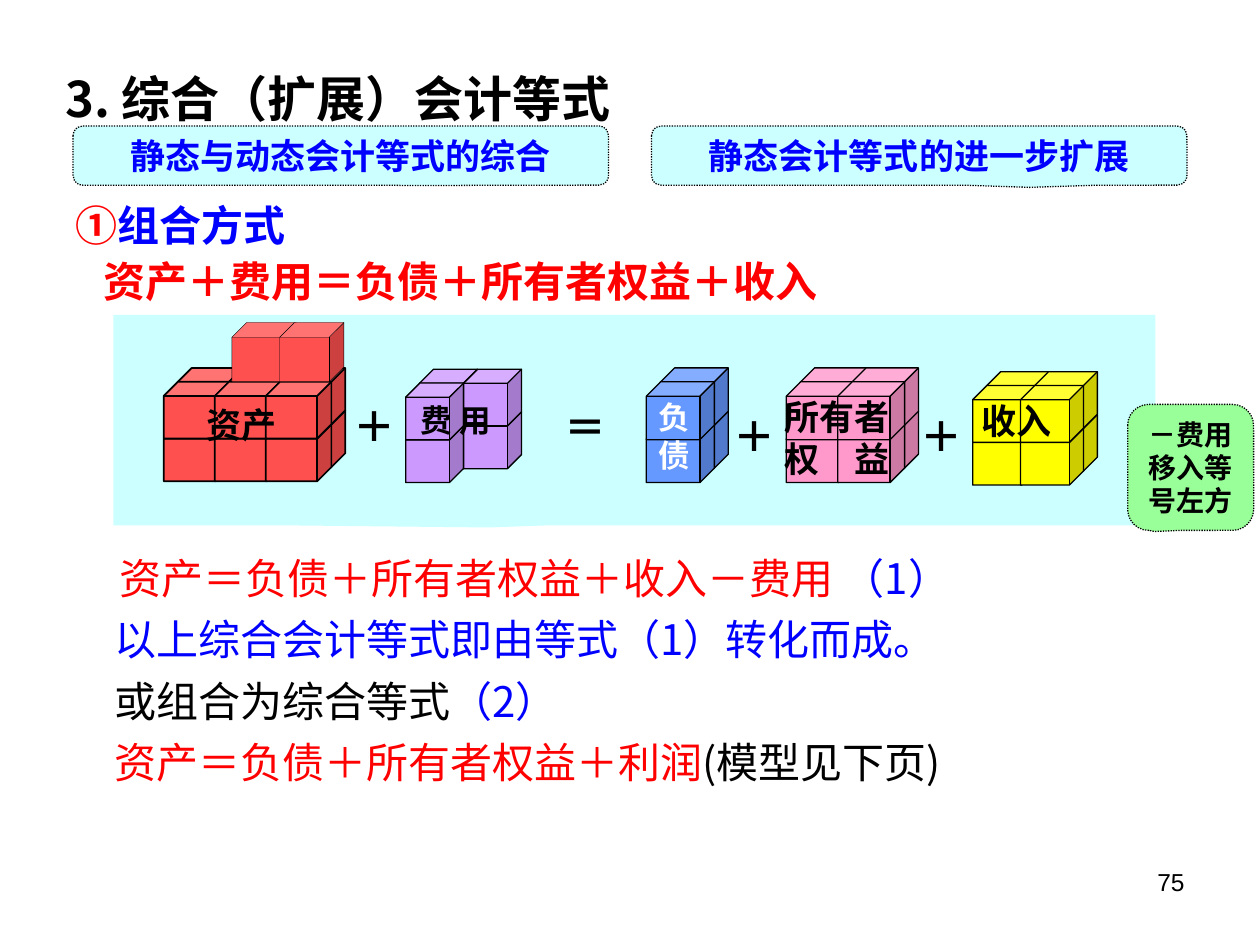
import pptx
import pptx.util
import pptx.dml.color
import pptx.enum.dml
import pptx.enum.shapes
import pptx.enum.text
import pptx.oxml.ns
import lxml.etree

Inches = pptx.util.Inches
Pt = pptx.util.Pt
SHAPE = pptx.enum.shapes.MSO_SHAPE
ALIGN = pptx.enum.text.PP_ALIGN
ANCHOR = pptx.enum.text.MSO_ANCHOR
CJK = "Noto Sans CJK SC"
BLACK, RED, BLUE, AQUA = "000000", "FF0000", "0000FF", "CCFFFF"
RED_CUBE = "FF5050"

deck = pptx.Presentation()
deck.slide_width, deck.slide_height = Inches(10), Inches(7.5)
page = deck.slides.add_slide(deck.slide_layouts[6])
color = pptx.dml.color.RGBColor.from_string


def add_text(frame, text, size=20, ink=BLACK, bold=True, font="Times New Roman",
             align=ALIGN.CENTER, before=0, line=None, indent=0):
    """Add a paragraph; text is a string or a list of (string, colour) spans."""
    frame.word_wrap = True
    first = frame.paragraphs[0]
    para = frame.add_paragraph() if first.runs else first
    para.alignment = align
    para.space_before = Pt(before)
    para.line_spacing = Pt(line or round(size * 1.2, 1))
    if indent:
        para._p.get_or_add_pPr().set("marL", str(Inches(indent)))
    for words, hue in [(text, ink)] if isinstance(text, str) else text:
        span = para.add_run()
        span.text = words
        span.font.size, span.font.bold, span.font.name = Pt(size), bold, font
        span.font.color.rgb = color(hue)
        east = lxml.etree.SubElement(span.font._element, pptx.oxml.ns.qn("a:ea"))
        east.set("typeface", CJK)


def add_shape(kind, place, fill, adjust, width=None):
    shape = page.shapes.add_shape(kind, *map(Inches, place))
    shape.shadow.inherit = False
    for index, value in enumerate(adjust):
        shape.adjustments[index] = value
    shape.fill.solid()
    shape.fill.fore_color.rgb = color(fill)
    if width is None:
        shape.line.fill.background()
    else:
        shape.line.color.rgb = color(BLACK)
        shape.line.width = Pt(width)
    return shape


# Heading and first equation
box = page.shapes.add_textbox(Inches(0.42), Inches(0.53), Inches(8.33), Inches(2.17))
heading = dict(bold=True, font=CJK, align=ALIGN.LEFT)
add_text(box.text_frame, "3. 综合（扩展）会计等式", size=28, line=31, **heading)
add_text(box.text_frame, [("①", RED), ("组合方式", BLUE)], size=24, line=26,
         before=44, indent=0.08, **heading)
add_text(box.text_frame, "资产＋费用＝负债＋所有者权益＋收入", size=24, line=26,
         ink=RED, before=6, indent=0.3, **heading)

# Derived equations
box = page.shapes.add_textbox(Inches(0.59), Inches(4.25), Inches(8.74), Inches(2.83))
equations = [
    [("资产＝负债＋所有者权益＋收入－费用 ", RED), ("（1）", BLUE)],
    [("以上综合会计等式即由等式（1）转化而成。", BLUE)],
    [("或组合为综合等式", BLACK), ("（2）", BLUE)],
    [("资产＝负债＋所有者权益＋利润", RED), ("(模型见下页)", BLACK)],
]
for row, spans in enumerate(equations):
    add_text(box.text_frame, spans, size=24, bold=False, font=CJK, align=ALIGN.LEFT,
             before=6 if row else 0, line=29 if row else 35, indent=0.22 if row else 0.26)

# Panel behind the cubes
add_shape(SHAPE.RECTANGULAR_CALLOUT, (0.9, 2.5, 8.27, 1.67), AQUA, (-0.14, 0.51))

# Cube blocks: fill, left, top, cube width, cube height, column step,
# columns in the rear layer, columns in the front layer, line width
blocks = [
    (RED_CUBE, 1.30, 3.03, 0.52, 0.45, 0.405, 3, 3, 1),
    ("6699FF", 5.13, 3.03, 0.54, 0.46, 0, 1, 1, 0.75),
    ("FF99CC", 6.24, 3.03, 0.53, 0.46, 0.41, 2, 2, 0.75),
    ("FFFF00", 7.72, 3.06, 0.50, 0.45, 0.38, 2, 2, 0.75),
    ("CC99FF", 3.22, 3.04, 0.46, 0.45, 0.35, 2, 1, 0.75),
]
for fill, left, top, wide, high, step, rear, front, width in blocks:
    for column in range(rear):
        layers = [(0.11, -0.11), (0, 0)] if column < front else [(0.11, -0.11)]
        for shift_x, shift_y in layers:
            for drop in (0.34, 0):
                place = (left + column * step + shift_x, top + drop + shift_y, wide, high)
                add_shape(SHAPE.CUBE, place, fill, [0.25], width)

# Labels and operators on the panel
labels = [
    ((1.44, 3.15, 0.96, 0.57), ["资产"], 20, BLACK, ALIGN.CENTER),
    ((5.13, 3.11, 0.39, 0.49), ["负债"], 18, "FFFFFF", ALIGN.CENTER),
    ((6.10, 3.09, 1.09, 0.74), ["所有者", "权　益"], 20, BLACK, ALIGN.CENTER),
    ((7.69, 3.12, 0.87, 0.56), ["收入"], 20, BLACK, ALIGN.LEFT),
    ((3.21, 3.13, 0.81, 0.56), ["费 用"], 18, BLACK, ALIGN.CENTER),
    ((4.29, 3.14, 0.71, 0.55), ["＝"], 24, BLACK, ALIGN.CENTER),
    ((2.70, 3.13, 0.55, 0.44), ["＋"], 24, BLACK, ALIGN.CENTER),
    ((5.71, 3.21, 0.55, 0.44), ["＋"], 24, BLACK, ALIGN.CENTER),
    ((7.20, 3.21, 0.55, 0.44), ["＋"], 24, BLACK, ALIGN.CENTER),
]
for place, lines, size, ink, align in labels:
    box = page.shapes.add_textbox(*map(Inches, place))
    for text in lines:
        add_text(box.text_frame, text, size=size, ink=ink, align=align)

# Two extra cubes on top of the assets block
for left in (1.84, 2.22):
    add_shape(SHAPE.CUBE, (left, 2.56, 0.51, 0.47), RED_CUBE, [0.25], 0.25)

# Dotted callouts
callouts = [
    ((0.58, 1, 4.25, 0.47), AQUA, (0.134, 0.507, 0.167),
     "静态与动态会计等式的综合", dict(size=20, ink=BLUE)),
    ((5.17, 1, 4.25, 0.47), AQUA, (0.206, 0.537, 0.167),
     "静态会计等式的进一步扩展", dict(size=20, ink=BLUE)),
    ((8.95, 3.21, 1, 1), "99FF99", (-0.285, 0.509, 0.167),
     "－费用 移入等号左方", dict(size=16, line=19, font="Arial")),
]
for place, fill, adjust, text, style in callouts:
    callout = add_shape(SHAPE.ROUNDED_RECTANGULAR_CALLOUT, place, fill, adjust, 0.75)
    callout.line.dash_style = pptx.enum.dml.MSO_LINE.ROUND_DOT
    callout.text_frame.vertical_anchor = ANCHOR.MIDDLE
    add_text(callout.text_frame, text, **style)

# Page number
box = page.shapes.add_textbox(Inches(7.17), Inches(6.83), Inches(2.33), Inches(0.52))
add_text(box.text_frame, "75", size=14, bold=False, font="Arial", align=ALIGN.RIGHT)

deck.save("out.pptx")
